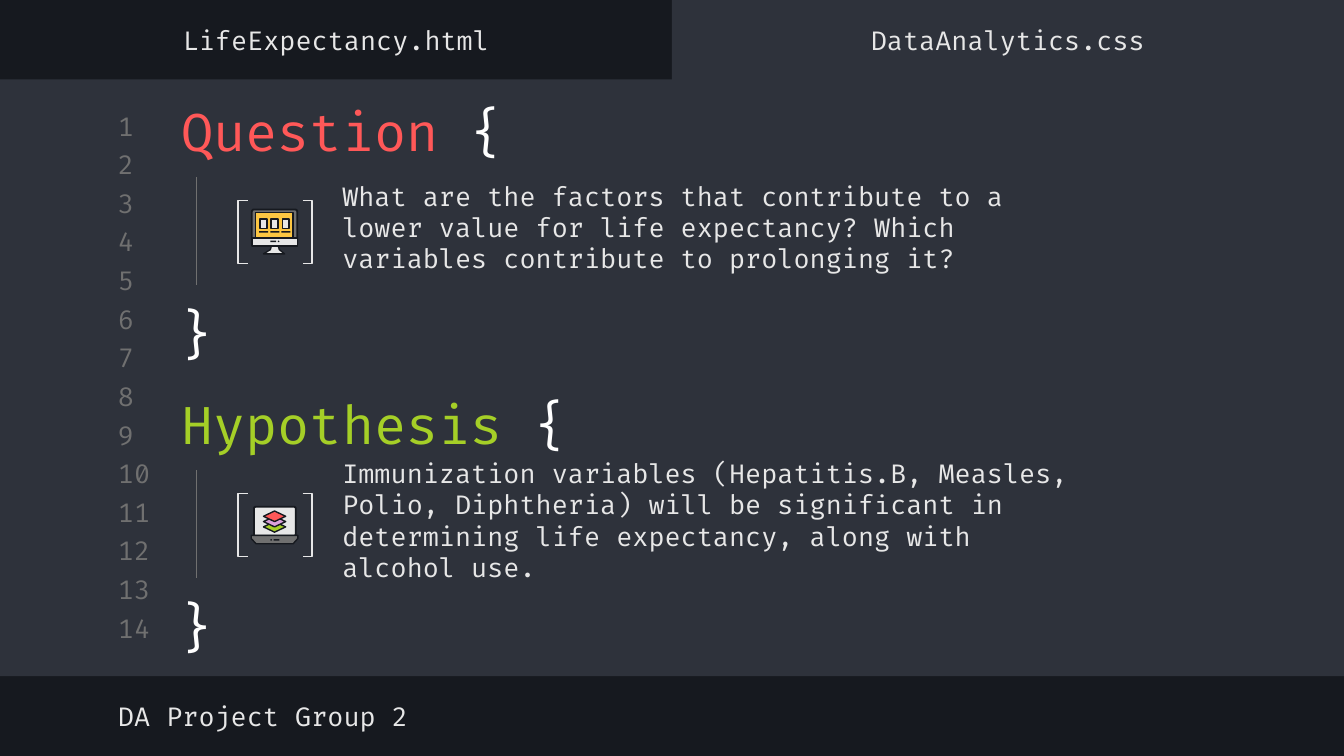
from lxml import etree
from pptx import Presentation
from pptx import util as u
from pptx.dml.color import RGBColor
from pptx.enum import shapes as sh, text as tx
from pptx.oxml import ns

# Content
TABS = ["LifeExpectancy.html", "DataAnalytics.css"]
FOOT = "DA Project Group 2"
BLOCKS = [
    ("Question ", "FF5858", "What are the factors that contribute to a lower value "
     "for life expectancy? Which variables contribute to prolonging it?"),
    ("Hypothesis ", "A5CF27", "Immunization variables (Hepatitis.B, Measles, Polio, "
     "Diphtheria) will be significant in determining life expectancy, along with "
     "alcohol use."),
]
ROWS = 14

# Style and grid, lengths in cm
FONT = "Fira Code"
DARK, PANEL, GREY, PALE, WHITE = "16191F", "2E323B", "707070", "E7E7E7", "FFFFFF"
GOLD, RED, GREEN, PINK = "FCC642", "FF5858", "A5CF27", "DBA0DB"
WIDE, HIGH, HALF = 25.4, 14.29, 12.7
STEP = 5.54   # from one code block to the next
ROW = 0.73    # from one line number to the next
KIND = sh.MSO_SHAPE
LEFT, MID = tx.PP_ALIGN.LEFT, tx.PP_ALIGN.CENTER

prs = Presentation()
prs.slide_width, prs.slide_height = u.Cm(WIDE), u.Cm(HIGH)
slide = prs.slides.add_slide(prs.slide_layouts[5])
items = slide.shapes


def rgb(code):
    return RGBColor.from_string(code)


def paint(item, fill=None, line=None, width=0.75):
    item.shadow.inherit = False
    if fill:
        item.fill.solid()
        item.fill.fore_color.rgb = rgb(fill)
    else:
        item.fill.background()
    if line:
        item.line.color.rgb = rgb(line)
        item.line.width = u.Pt(width)
    else:
        item.line.fill.background()


def draw(kind, x, y, w, h, fill=None, line=None, width=0.75, adj=None):
    item = items.add_shape(kind, *map(u.Cm, (x, y, w, h)))
    paint(item, fill, line, width)
    if adj is not None:
        item.adjustments[0] = adj


def outline(points, fill):
    pts = [(u.Cm(x), u.Cm(y)) for x, y in points]
    form = items.build_freeform(*pts[0])
    form.add_line_segments(pts[1:], close=True)
    paint(form.convert_to_shape(), fill, DARK)


def write(box, runs, size=14, align=LEFT, anchor=tx.MSO_ANCHOR.MIDDLE):
    frame = box.text_frame
    frame.word_wrap = True
    frame.auto_size = tx.MSO_AUTO_SIZE.NONE
    frame.vertical_anchor = anchor
    frame.margin_left = frame.margin_right = u.Cm(0.25)
    frame.margin_top = frame.margin_bottom = u.Cm(0.25)
    para = frame.paragraphs[0]
    para.alignment = align
    para.font.name, para.font.size = FONT, u.Pt(size)
    for words, color in runs:
        run = para.add_run()
        run.text = words
        run.font.color.rgb = rgb(color)


def label(words, color, x, y, w, h, **style):
    box = items.add_textbox(*map(u.Cm, (x, y, w, h)))
    write(box, [(words, color)], **style)


def rule(x, top, end):
    line = items.add_connector(sh.MSO_CONNECTOR.STRAIGHT,
                               *map(u.Cm, (x, top, x, end)))
    line.line.color.rgb = rgb(GREY)
    line.line.width = u.Pt(0.75)
    etree.SubElement(line.element.spPr, ns.qn("a:effectLst"))


def monitor():
    outline([(5.13, 4.65), (5.26, 4.65), (5.28, 4.72), (5.38, 4.8),
             (4.98, 4.8), (5.11, 4.72)], PALE)
    draw(KIND.ROUNDED_RECTANGLE, 4.76, 3.96, 0.86, 0.69, GREY, DARK, 1, 0.06)
    draw(KIND.RECTANGLE, 4.76, 4.5, 0.86, 0.15, PALE, DARK)
    draw(KIND.RECTANGLE, 4.83, 4.02, 0.71, 0.48, GOLD, DARK)
    for i in range(3):
        x = 4.92 + 0.21 * i
        draw(KIND.RECTANGLE, x, 4.14, 0.13, 0.18, PALE, DARK, 1)
        draw(KIND.RECTANGLE, x - 0.02, 4.37, 0.17, 0.03, DARK)
    draw(KIND.RECTANGLE, 5.11, 4.55, 0.11, 0.03, DARK)
    draw(KIND.OVAL, 5.25, 4.55, 0.03, 0.03, DARK)


def laptop():
    draw(KIND.ROUNDED_RECTANGLE, 4.8, 9.58, 0.79, 0.55, PALE, DARK, 1, 0.06)
    outline([(4.75, 10.12), (5.63, 10.12), (5.63, 10.18), (5.54, 10.28),
             (4.84, 10.28), (4.75, 10.18)], GREY)
    for i, color in enumerate([GREEN, PINK, RED]):
        draw(KIND.DIAMOND, 4.98, 9.86 - 0.1 * i, 0.42, 0.2, color, DARK)
    draw(KIND.OVAL, 5.11, 10.19, 0.03, 0.03, DARK)
    draw(KIND.RECTANGLE, 5.17, 10.19, 0.11, 0.03, DARK)


# Background and panels
back = slide.background.fill
back.solid()
back.fore_color.rgb = rgb(DARK)
draw(KIND.RECTANGLE, 0, 1.5, WIDE, 11.28, PANEL)
draw(KIND.RECTANGLE, HALF, 0, HALF, 1.65, PANEL)

# Tabs, line numbers and footer
for i, name in enumerate(TABS):
    label(name, PALE, HALF * i, 0.25, HALF, 1, align=MID)
for i in range(ROWS):
    label(str(i + 1), GREY, 1.98, 2.07 + ROW * i, 1.19, 0.61)
label(FOOT, PALE, 1.98, 13.03, 13.5, 1)

# Code blocks, the first headed by the title
for i, (head, color, words) in enumerate(BLOCKS):
    top = STEP * i
    spot = [u.Cm(n) for n in (3.18, 1.73 + top, 11.28, 1.47)]
    if i == 0:
        box = items.title
        box.left, box.top, box.width, box.height = spot
        box.element.getparent().append(box.element)  # in front of the panels
    else:
        box = items.add_textbox(*spot)
    write(box, [(head, color), ("{", WHITE)], size=28)
    label(words, PALE, 6.22, 3.2 + top, 14.27, 2.18)
    rule(3.71, 3.35 + top, 5.38 + top)
    label("}", WHITE, 3.02, 5.44 + top, 1.4, 1.7, size=28, align=MID,
          anchor=tx.MSO_ANCHOR.TOP)
    for kind, x in [(KIND.LEFT_BRACKET, 4.5), (KIND.RIGHT_BRACKET, 5.72)]:
        draw(kind, x, 3.79 + top, 0.18, 1.19, line=PALE, adj=0)

# Icons
monitor()
laptop()

prs.save("out.pptx")
